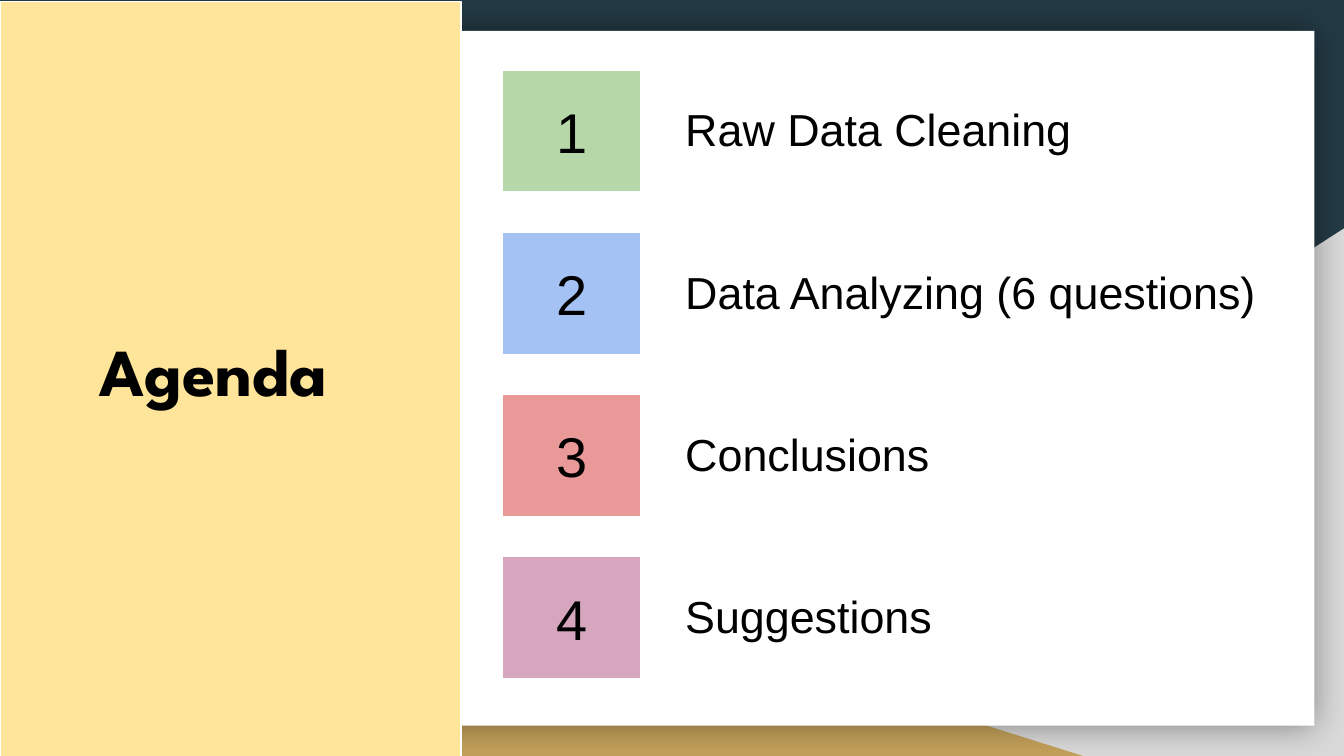
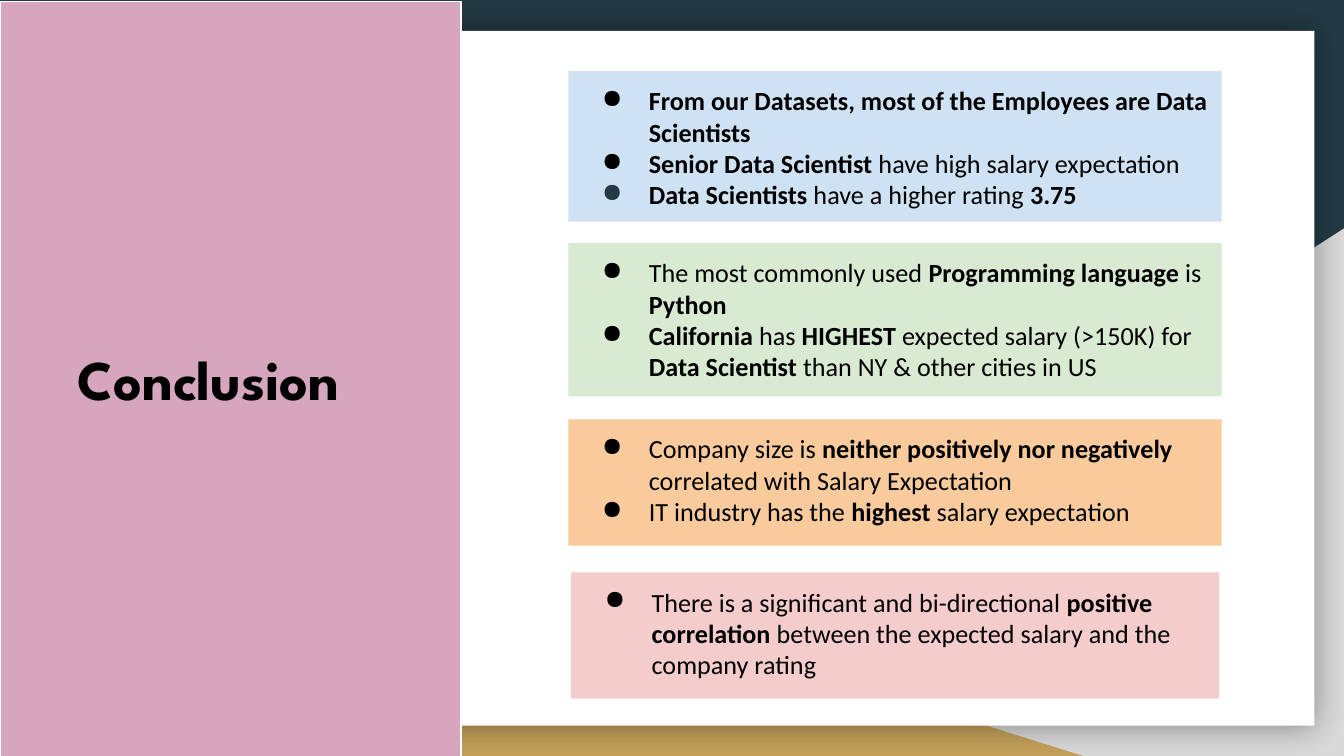
from collections import namedtuple
from lxml.etree import SubElement
from pptx import Presentation
from pptx.dml.color import RGBColor
from pptx.enum.shapes import MSO_SHAPE
from pptx.enum.text import MSO_ANCHOR, PP_ALIGN
from pptx.oxml.ns import qn
from pptx.util import Inches, Pt

Box = namedtuple("Box", "x y w h")
CELL = Inches(0.1)
PAGE = Box(0, 0, 100, 56.25)
BAND = Box(0, 0.1, 34.3, 56.2)
PANEL = Box(2.2, 2.3, 95.6, 51.7)
BODY = Box(34.3, 2.3, 63.5, 51.7)

HUES = {
    "night": "233A44", "gray": "D9D9D9", "gold": "C4A15A",
    "white": "FFFFFF", "black": "000000", "cream": "FFE599",
    "green": "B6D7A8", "blue": "A4C2F4", "red": "EA9999", "mauve": "D5A6BD",
    "sky": "CFE2F3", "mint": "D9EAD3", "peach": "F9CB9C", "blush": "F4CCCC",
}
FONTS = {
    "title": {"name": "League Spartan", "bold": True},
    "tile": {"name": "Arial", "size": Pt(30)},
    "label": {"name": "Arial", "size": Pt(24)},
    "card": {"name": "Calibri", "size": Pt(14)},
}
FRAME = {
    "word_wrap": True, "vertical_anchor": MSO_ANCHOR.TOP,
    "margin_left": CELL, "margin_right": CELL,
    "margin_top": CELL, "margin_bottom": CELL,
}
STEPS = [
    ("green", "Raw Data Cleaning"),
    ("blue", "Data Analyzing (6 questions)"),
    ("red", "Conclusions"),
    ("mauve", "Suggestions"),
]
CARDS = [
    ("sky", Box(8, 3, 48.6, 11.2), [
        ("black", "*From our Datasets, most of the Employees are Data Scientists*"),
        ("black", "*Senior Data Scientist* have high salary expectation"),
        ("night", "*Data Scientists* have a higher rating *3.75*"),
    ]),
    ("mint", Box(8, 15.8, 48.6, 11.4), [
        ("black", "The most commonly used *Programming language* is *Python*"),
        ("black", "*California* has *HIGHEST *expected salary (>150K) for "
                  "*Data Scientist* than NY & other cities in US"),
    ]),
    ("peach", Box(8, 28.9, 48.6, 9.4), [
        ("black", "Company size is *neither positively nor negatively *"
                  "correlated with Salary Expectation"),
        ("black", "IT industry has the *highest* salary expectation"),
    ]),
    ("blush", Box(8.2, 40.3, 48.2, 9.4), [
        ("black", "There is a significant and bi-directional *positive correlation*"
                  " between the expected salary and the company rating"),
    ]),
]


def tint(name):
    """Return the named colour."""
    return RGBColor.from_string(HUES[name])


def apply(item, style):
    """Set every attribute in a style on an item."""
    for key, val in style.items():
        setattr(item, key, val)


def within(box, part):
    """Shift a part by the corner of its box."""
    return Box(box.x + part.x, box.y + part.y, part.w, part.h)


def cells(box):
    """Turn grid cells into slide lengths."""
    return [round(n * CELL) for n in box]


def block(slide, box, hue, kind=MSO_SHAPE.RECTANGLE, edge=None):
    """Draw a flat filled shape with an optional thin edge."""
    shape = slide.shapes.add_shape(kind, *cells(box))
    shape.shadow.inherit = False
    shape.fill.solid()
    shape.fill.fore_color.rgb = tint(hue)
    if edge:
        shape.line.color.rgb = tint(edge)
        shape.line.width = Pt(0.75)
    else:
        shape.line.fill.background()
    apply(shape.text_frame, FRAME)
    return shape


def write(para, text, style):
    """Add runs to a paragraph, with bold between stars."""
    for turn, part in enumerate(text.split("*")):
        if part:
            font = para.add_run().font
            para.runs[-1].text = part
            apply(font, {"bold": turn % 2 == 1, **style})
            font.color.rgb = tint("black")


def label(slide, box, text, style):
    """Place a line of text in a box."""
    frame = slide.shapes.add_textbox(*cells(box)).text_frame
    apply(frame, FRAME)
    write(frame.paragraphs[0], text, style)


def bullet(para, hue):
    """Give a paragraph a hanging round bullet."""
    props = para._p.get_or_add_pPr()
    props.set("marL", str(Inches(0.5)))
    props.set("indent", str(-Inches(0.35)))
    SubElement(SubElement(props, qn("a:buClr")), qn("a:srgbClr"), val=HUES[hue])
    SubElement(props, qn("a:buChar"), char="●")


def glow(shape):
    """Put a soft dark shadow around a shape."""
    root = shape.element.spPr.find(qn("a:effectLst"))
    soft = SubElement(root, qn("a:outerShdw"), blurRad=str(Pt(18)), dist="0",
                      dir="0", algn="ctr", rotWithShape="0")
    color = SubElement(soft, qn("a:srgbClr"), val=HUES["black"])
    SubElement(color, qn("a:alpha"), val="40000")


def base(deck):
    """Start a slide with the shared backdrop and white panel."""
    slide = deck.slides.add_slide(deck.slide_layouts[6])
    slide.background.fill.solid()
    slide.background.fill.fore_color.rgb = tint("night")
    wedge = MSO_SHAPE.RIGHT_TRIANGLE
    right = block(slide, within(PAGE, Box(39.2, 17, 60.8, 39.25)), "gray", wedge)
    right.element.spPr.find(qn("a:xfrm")).set("flipH", "1")
    block(slide, within(PAGE, Box(0, 30.9, 80.6, 25.35)), "gold", wedge)
    glow(block(slide, PANEL, "white"))
    return slide


def band(slide, box, hue, text, part, size):
    """Draw the side band and its title."""
    block(slide, box, hue, edge="white")
    label(slide, within(box, part), text, {**FONTS["title"], "size": Pt(size)})


def steps(slide, box):
    """Stack numbered tiles with their labels."""
    for row, (hue, text) in enumerate(STEPS):
        top = 2.9 + 12.07 * row
        tile = block(slide, within(box, Box(3.1, top, 10.3, 9.1)), hue, edge="white")
        frame = tile.text_frame
        frame.vertical_anchor = MSO_ANCHOR.MIDDLE
        frame.paragraphs[0].alignment = PP_ALIGN.CENTER
        write(frame.paragraphs[0], str(row + 1), FONTS["tile"])
        label(slide, within(box, Box(15.7, top + 1.4, 48.2, 5.5)), text, FONTS["label"])


def cards(slide, box):
    """Stack coloured cards of bullet points."""
    for hue, part, lines in CARDS:
        frame = block(slide, within(box, part), hue).text_frame
        for row, (dot, text) in enumerate(lines):
            para = frame.add_paragraph() if row else frame.paragraphs[0]
            para.alignment = PP_ALIGN.LEFT
            bullet(para, dot)
            write(para, text, FONTS["card"])


def main():
    """Build and save the deck."""
    deck = Presentation()
    apply(deck, {"slide_width": round(PAGE.w * CELL),
                 "slide_height": round(PAGE.h * CELL)})
    slide = base(deck)
    band(slide, BAND, "cream", "Agenda", Box(6.4, 23.4, 21.4, 6.3), 36)
    steps(slide, BODY)
    slide = base(deck)
    band(slide, BAND, "mauve", "Conclusion", Box(4.8, 24.5, 25.3, 7.1), 30)
    cards(slide, BODY)
    deck.save("out.pptx")


if __name__ == "__main__":
    main()
